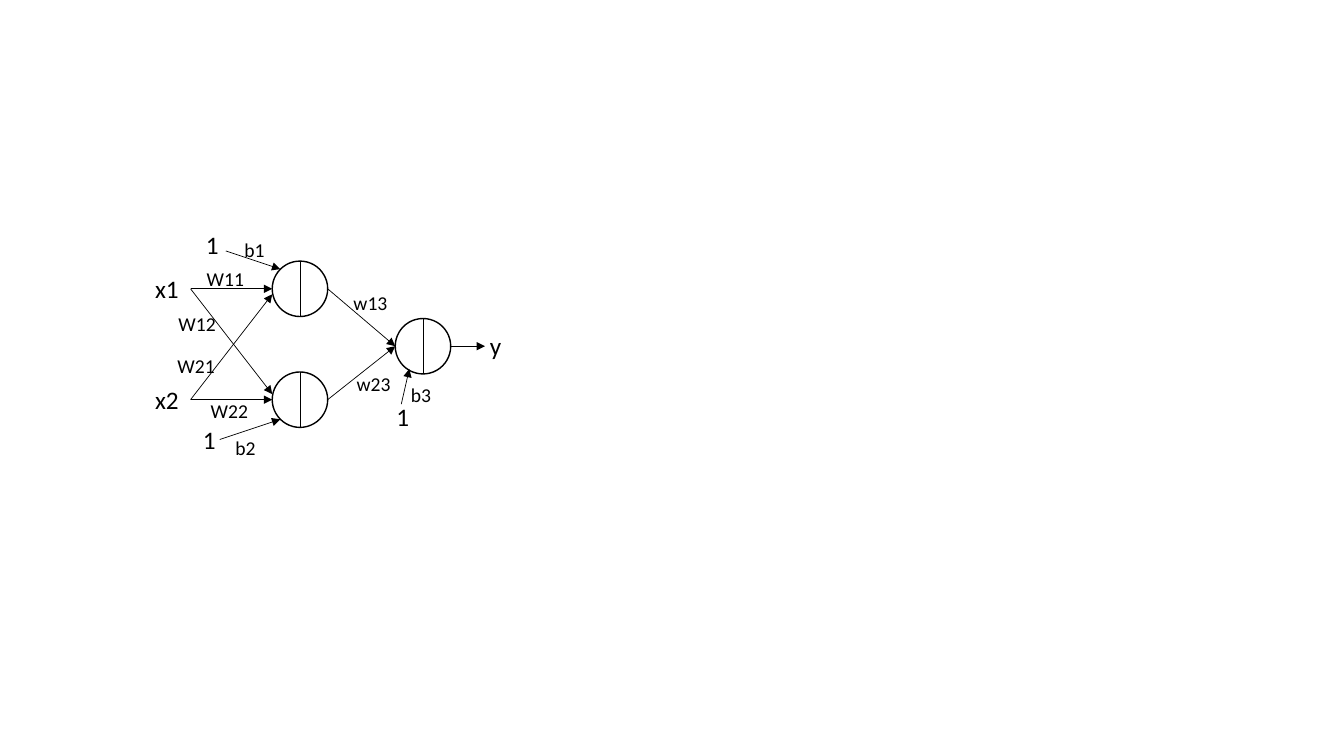
from dataclasses import dataclass

from lxml import etree
from pptx import Presentation
from pptx.dml.color import RGBColor
from pptx.enum.shapes import MSO_CONNECTOR, MSO_SHAPE
from pptx.enum.text import MSO_AUTO_SIZE, PP_ALIGN
from pptx.oxml.ns import qn
from pptx.slide import Slide
from pptx.util import Inches, Pt

STRAIGHT = MSO_CONNECTOR.STRAIGHT
OVAL = MSO_SHAPE.OVAL
CENTER = PP_ALIGN.CENTER
GROW = MSO_AUTO_SIZE.SHAPE_TO_FIT_TEXT

COLORS = {"ink": "000000"}
INK = RGBColor.from_string(COLORS["ink"])
DIAMETER = 0.55
BLANK_LAYOUT = 6

Point = tuple[float, float]


@dataclass(frozen=True)
class Neuron:
    left: float
    top: float

    @property
    def center(self) -> Point:
        return self.left + DIAMETER / 2, self.top + DIAMETER / 2

    @property
    def input(self) -> Point:
        return self.left, self.center[1]

    @property
    def output(self) -> Point:
        return self.left + DIAMETER, self.center[1]


@dataclass(frozen=True)
class LabelStyle:
    width: float
    height: float
    size: int


@dataclass(frozen=True)
class Label:
    text: str
    left: float
    top: float
    style: LabelStyle


TERMINAL = LabelStyle(0.45, 0.4, 18)
BIAS = LabelStyle(0.51, 0.34, 14)
WEIGHT = LabelStyle(0.63, 0.34, 14)

HIDDEN_1 = Neuron(2.7, 2.59)
HIDDEN_2 = Neuron(2.7, 3.69)
OUTPUT = Neuron(3.92, 3.16)
NEURONS = [HIDDEN_1, HIDDEN_2, OUTPUT]

X1 = (1.89, HIDDEN_1.center[1])
X2 = (1.89, HIDDEN_2.center[1])

ARROWS: list[tuple[Point, Point]] = [
    # Inputs to the hidden layer
    (X1, HIDDEN_1.input),
    (X2, HIDDEN_2.input),
    (X2, (2.7, 2.92)),
    (X1, (2.7, 3.91)),
    # Hidden layer to the output neuron, and on to y
    (HIDDEN_1.output, OUTPUT.input),
    (HIDDEN_2.output, OUTPUT.input),
    (OUTPUT.output, (4.81, OUTPUT.center[1])),
    # Biases
    ((2.24, 2.49), (2.78, 2.67)),
    ((2.18, 4.36), (2.78, 4.16)),
    ((3.98, 4.01), (4.06, 3.66)),
]

LABELS = [
    Label("x1", 1.43, 2.66, TERMINAL),
    Label("x2", 1.43, 3.76, TERMINAL),
    Label("1", 1.88, 2.23, TERMINAL),
    Label("1", 1.85, 4.16, TERMINAL),
    Label("1", 3.77, 3.93, TERMINAL),
    Label("y", 4.69, 3.23, TERMINAL),
    Label("b1", 2.27, 2.31, BIAS),
    Label("b2", 2.18, 4.28, BIAS),
    Label("b3", 3.92, 3.75, BIAS),
    Label("W11", 1.92, 2.6, WEIGHT),
    Label("W12", 1.64, 3.05, WEIGHT),
    Label("W21", 1.63, 3.46, WEIGHT),
    Label("W22", 1.96, 3.91, WEIGHT),
    Label("w13", 3.36, 2.84, WEIGHT),
    Label("w23", 3.39, 3.64, WEIGHT),
]


def add_line(slide: Slide, start: Point, end: Point, arrow: bool = False) -> None:
    ends = [Inches(value) for value in (*start, *end)]
    connector = slide.shapes.add_connector(STRAIGHT, *ends)
    connector.line.color.rgb = INK
    connector.line.width = Pt(0.5)
    properties = connector._element.spPr
    if arrow:
        outline = properties.find(qn("a:ln"))
        etree.SubElement(outline, qn("a:tailEnd"), type="triangle")
    etree.SubElement(properties, qn("a:effectLst"))


def add_neuron(slide: Slide, neuron: Neuron) -> None:
    box = [Inches(value) for value in (neuron.left, neuron.top, DIAMETER, DIAMETER)]
    circle = slide.shapes.add_shape(OVAL, *box)
    circle.shadow.inherit = False
    circle.fill.background()
    circle.line.color.rgb = INK
    circle.line.width = Pt(1)


def add_divider(slide: Slide, neuron: Neuron) -> None:
    middle = neuron.center[0]
    add_line(slide, (middle, neuron.top), (middle, neuron.top + DIAMETER))


def add_label(slide: Slide, label: Label) -> None:
    style = label.style
    box = [Inches(value) for value in (label.left, label.top, style.width, style.height)]
    frame = slide.shapes.add_textbox(*box).text_frame
    frame.word_wrap = True
    frame.auto_size = GROW
    paragraph = frame.paragraphs[0]
    paragraph.alignment = CENTER
    run = paragraph.add_run()
    run.text = label.text
    for name, value in {"name": "Calibri", "size": Pt(style.size)}.items():
        setattr(run.font, name, value)
    run.font.color.rgb = INK


def main() -> None:
    presentation = Presentation()
    presentation.slide_width = Inches(13.33)
    presentation.slide_height = Inches(7.5)
    slide = presentation.slides.add_slide(presentation.slide_layouts[BLANK_LAYOUT])

    for neuron in NEURONS:
        add_neuron(slide, neuron)
    for start, end in ARROWS:
        add_line(slide, start, end, arrow=True)
    for label in LABELS:
        add_label(slide, label)
    for neuron in NEURONS:
        add_divider(slide, neuron)

    presentation.save("out.pptx")


if __name__ == "__main__":
    main()
